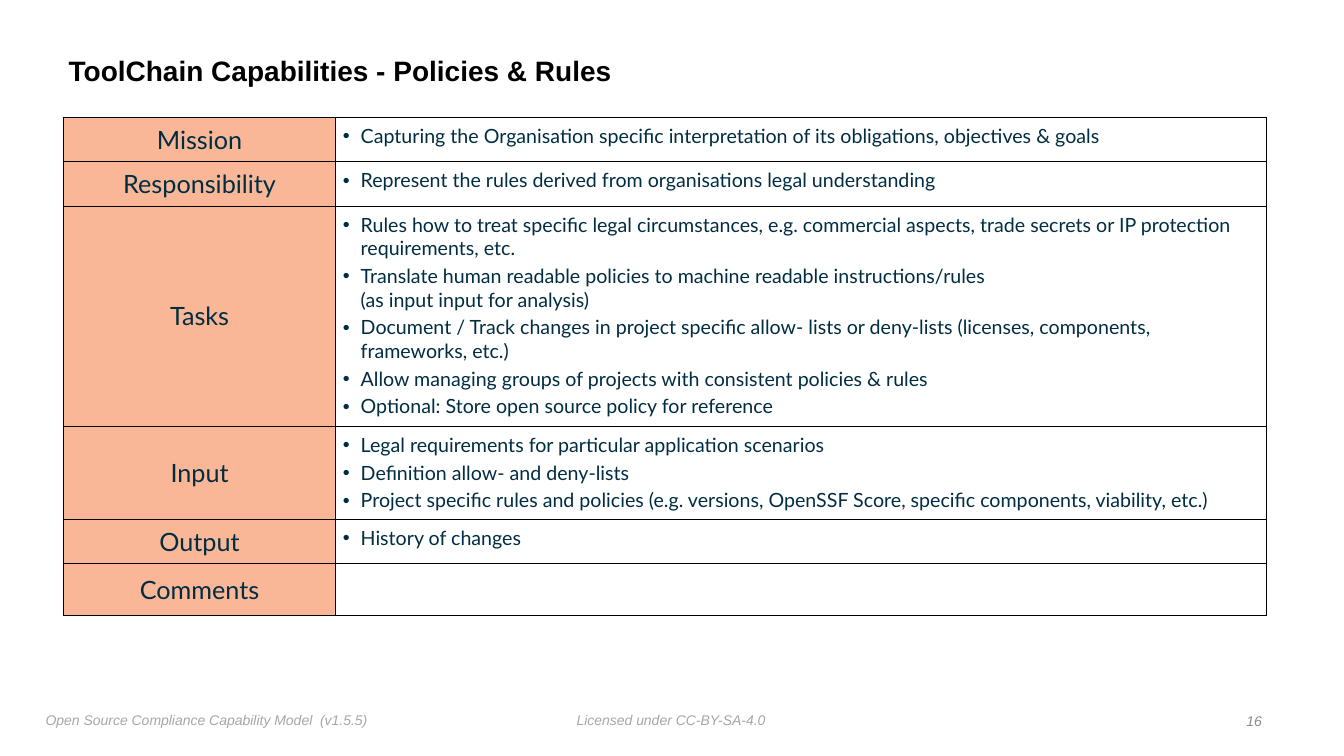
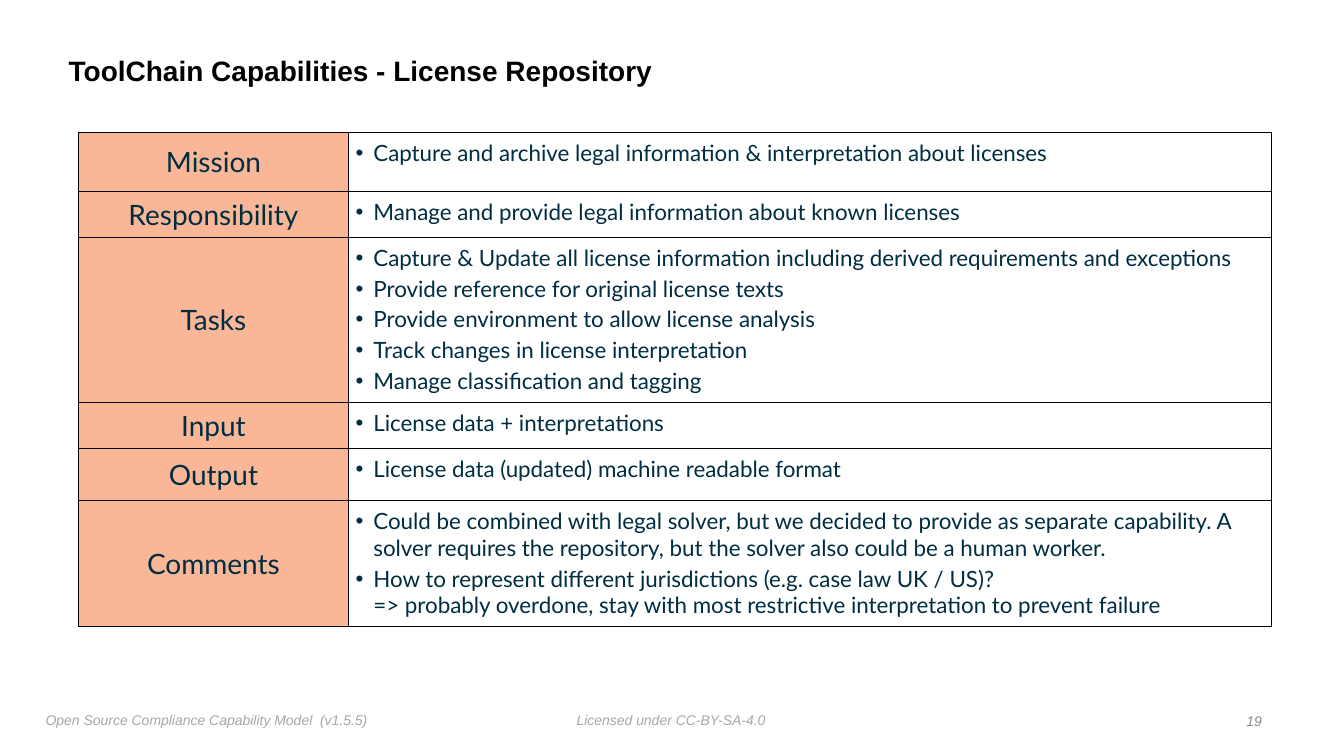
"""Build two capability slides with a shared title, footer and table style."""
import copy

from lxml import etree
from pptx import Presentation
from pptx.dml import color
from pptx.enum import text as txt
from pptx.oxml import ns
from pptx.util import Cm, Pt

INK = "002D41"
LABEL_FILL = "FAB798"
BORDER = "000000"
INSET = 0.13
TITLE_FONT = {"name": "Arial", "size": Pt(20), "bold": True}
FOOTER_FONT = {"name": "Arial", "size": Pt(10), "italic": True}
FOOTER_TOP = 17.8
TOPICS = ["Mission", "Responsibility", "Tasks", "Input", "Output", "Comments"]

CAPABILITIES = [
    {
        "title": "ToolChain Capabilities - Policies & Rules",
        "number": "16",
        "corner": (1.6, 2.95),
        "columns": (6.86, 23.45),
        "rows": (1.12, 1.12, 5.54, 2.32, 1.12, 1.3),
        "sizes": (18, 14),
        "points": [
            ["Capturing the Organisation specific interpretation of its obligations, objectives & goals"],
            ["Represent the rules derived from organisations legal understanding"],
            [
                "Rules how to treat specific legal circumstances, e.g. commercial aspects, "
                "trade secrets or IP protection requirements, etc.",
                "Translate human readable policies to machine readable instructions/rules\v"
                "(as input input for analysis)",
                "Document / Track changes in project specific allow- lists or deny-lists "
                "(licenses, components, frameworks, etc.)",
                "Allow managing groups of projects with consistent policies & rules",
                "Optional: Store open source policy for reference",
            ],
            [
                "Legal requirements for particular application scenarios",
                "Definition allow- and deny-lists",
                "Project specific rules and policies (e.g. versions, OpenSSF Score, "
                "specific components, viability, etc.)",
            ],
            ["History of changes"],
            [],
        ],
    },
    {
        "title": "ToolChain Capabilities - License Repository",
        "number": "19",
        "corner": (1.98, 3.33),
        "columns": (6.8, 23.27),
        "rows": (1.5, 1.14, 4.18, 1.14, 1.32, 3.16),
        "sizes": (20, 16),
        "points": [
            ["Capture and archive legal information & interpretation about licenses"],
            ["Manage and provide legal information about known licenses"],
            [
                "Capture & Update all license information including derived requirements and exceptions",
                "Provide reference for original license texts",
                "Provide environment to allow license analysis",
                "Track changes in license interpretation",
                "Manage classification and tagging",
            ],
            ["License data + interpretations"],
            ["License data (updated) machine readable format"],
            [
                "Could be combined with legal solver, but we decided to provide as separate "
                "capability. A solver requires the repository, but the solver also could be "
                "a human worker.",
                "How to represent different jurisdictions (e.g. case law UK / US)?\v"
                "=> probably overdone, stay with most restrictive interpretation to prevent failure",
            ],
        ],
    },
]


def apply(target, values):
    """Set every attribute named in values on target."""
    for name, value in values.items():
        setattr(target, name, value)


def paint(target, hex_color):
    """Give a fill or font a solid colour."""
    if hasattr(target, "solid"):
        target.solid()
        target.fore_color.rgb = color.RGBColor.from_string(hex_color)
    else:
        target.color.rgb = color.RGBColor.from_string(hex_color)


def write(paragraph, wording, font, hex_color):
    """Write wording in one format, line breaks included."""
    paragraph.text = wording
    for run in paragraph.runs:
        apply(run.font, font)
        paint(run.font, hex_color)
    for line_break in paragraph._p.findall(ns.qn("a:br")):
        line_break.insert(0, copy.deepcopy(paragraph.runs[0]._r.rPr))


def add_label(slide, box, wording, font, hex_color, frame=None, paragraph=None):
    """Add a text box with one paragraph."""
    label = slide.shapes.add_textbox(*map(Cm, box)).text_frame
    margins = dict.fromkeys(
        ("margin_left", "margin_right", "margin_top", "margin_bottom"), Cm(INSET))
    apply(label, {"word_wrap": False, **margins, **(frame or {})})
    apply(label.paragraphs[0], paragraph or {})
    write(label.paragraphs[0], wording, font, hex_color)


def add_frame(slide, title, number):
    """Add the title, footer texts and slide number."""
    middle = {"vertical_anchor": txt.MSO_ANCHOR.MIDDLE}
    add_label(slide, (1.6, 1, 27.3, 1.65), title, TITLE_FONT, "000000",
              {"word_wrap": True, **middle}, {"line_spacing": 0.9})
    add_label(slide, (14.4, FOOTER_TOP, 5.05, 0.65),
              "Licensed under CC-BY-SA-4.0", FOOTER_FONT, "A7A7A7")
    add_label(slide, (1.02, FOOTER_TOP, 8.43, 0.65),
              "Open Source Compliance Capability Model  (v1.5.5)", FOOTER_FONT, "A7A7A7")
    add_label(slide, (31.24, FOOTER_TOP + 0.05, 0.69, 0.65), number, FOOTER_FONT, "888C91",
              middle, {"alignment": txt.PP_ALIGN.RIGHT})


def format_cell(cell, inset, anchor):
    """Set the borders, margins and anchor of a cell."""
    properties = cell._tc.get_or_add_tcPr()
    for side in ("lnL", "lnR", "lnT", "lnB"):
        line = etree.SubElement(properties, ns.qn(f"a:{side}"), w=str(Pt(0.5)))
        fill = etree.SubElement(line, ns.qn("a:solidFill"))
        etree.SubElement(fill, ns.qn("a:srgbClr"), val=BORDER)
    margins = dict.fromkeys(
        ("margin_left", "margin_right", "margin_top", "margin_bottom"), Cm(inset))
    apply(cell, {"vertical_anchor": anchor, **margins})


def fill_topic(cell, topic, size):
    """Write the centred topic of a row."""
    format_cell(cell, 0, txt.MSO_ANCHOR.MIDDLE)
    paint(cell.fill, LABEL_FILL)
    heading = cell.text_frame.paragraphs[0]
    heading.alignment = txt.PP_ALIGN.CENTER
    write(heading, topic, {"name": "Lato", "size": Pt(size)}, INK)


def fill_points(cell, points, size):
    """Write the bulleted points of a row."""
    format_cell(cell, 0.18, txt.MSO_ANCHOR.TOP)
    cell.fill.background()
    for index, point in enumerate(points):
        frame = cell.text_frame
        bullet = frame.add_paragraph() if index else frame.paragraphs[0]
        properties = bullet._p.get_or_add_pPr()
        properties.set("marL", str(Cm(0.45)))
        properties.set("indent", str(-Cm(0.45)))
        etree.SubElement(properties, ns.qn("a:buFont"), typeface="Arial")
        etree.SubElement(properties, ns.qn("a:buChar"), char="•")
        if index:
            bullet.space_before = Pt(3)
        write(bullet, point, {"name": "Lato", "size": Pt(size)}, INK)


def add_capability_table(slide, capability):
    """Add the table of topics and their points."""
    columns, rows = capability["columns"], capability["rows"]
    box = (*capability["corner"], sum(columns), sum(rows))
    table = slide.shapes.add_table(len(rows), len(columns), *map(Cm, box)).table
    apply(table, {"first_row": False, "horz_banding": False})
    for column, width in zip(table.columns, columns):
        column.width = Cm(width)
    topic_size, point_size = capability["sizes"]
    for row, height, topic, points in zip(table.rows, rows, TOPICS, capability["points"]):
        row.height = Cm(height)
        fill_topic(row.cells[0], topic, topic_size)
        fill_points(row.cells[1], points, point_size)


def main():
    """Build and save the presentation."""
    deck = Presentation()
    apply(deck, {"slide_width": Cm(33.87), "slide_height": Cm(19.05)})
    for capability in CAPABILITIES:
        slide = deck.slides.add_slide(deck.slide_layouts[6])
        add_frame(slide, capability["title"], capability["number"])
        add_capability_table(slide, capability)
    deck.save("out.pptx")


if __name__ == "__main__":
    main()
